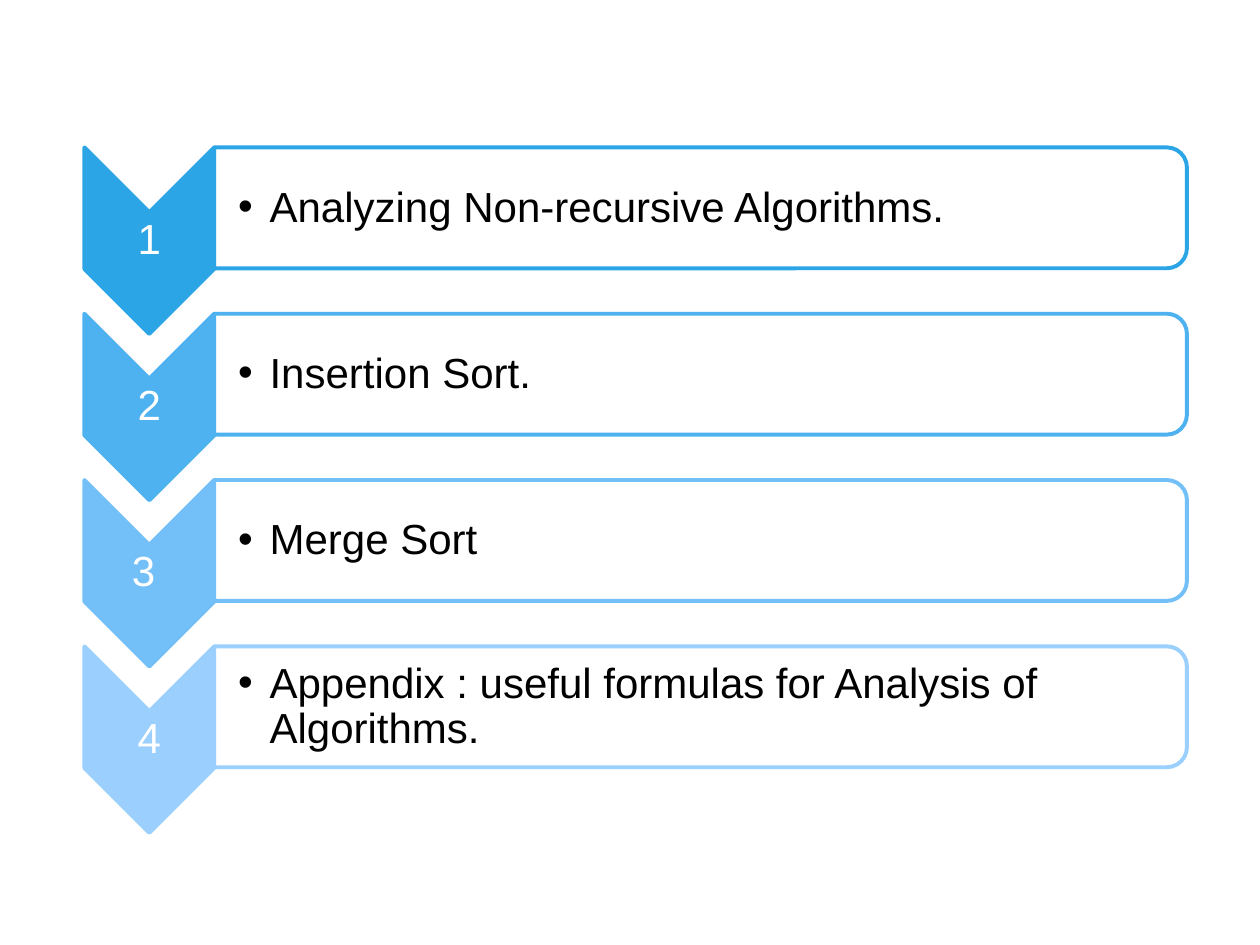
from lxml import etree
from pptx import Presentation
from pptx.dml.color import RGBColor
from pptx.enum import shapes, text
from pptx.oxml.ns import qn
from pptx.util import Pt

PX = 9144  # EMU; 100 px to the inch
WHITE = RGBColor(0xFF, 0xFF, 0xFF)
BLACK = RGBColor(0x00, 0x00, 0x00)

STEPS = [
    ("1", "Analyzing Non-recursive Algorithms.", RGBColor(0x2C, 0xA5, 0xE6)),
    ("2", "Insertion Sort.", RGBColor(0x4E, 0xB2, 0xF0)),
    ("3 ", "Merge Sort", RGBColor(0x73, 0xC0, 0xF8)),
    ("4", "Appendix : useful formulas for Analysis of Algorithms.",
     RGBColor(0x9B, 0xD0, 0xFE)),
]
FIRST_TOP, PITCH = 117, 132
CHEVRON_LEFT, CHEVRON_W, CHEVRON_H = 67, 103, 148
PANEL_LEFT, PANEL_W, PANEL_H = 170, 772, 96


def emu(*lengths):
    return [round(n * PX) for n in lengths]


def add_turned_shape(s, kind, x, y, w, h, fill, line, opacity=None):
    """Add a shape turned by 90 degrees that covers the box x, y, w, h."""
    left, top = x + (w - h) / 2, y + (h - w) / 2
    sp = s.shapes.add_shape(kind, *emu(left, top, h, w))
    sp.rotation = 90
    sp.shadow.inherit = False
    sp.fill.solid()
    sp.fill.fore_color.rgb = fill
    sp.line.color.rgb = line
    sp.line.width = Pt(2.25)
    if opacity is not None:
        color = sp.fill._xPr.find(qn("a:solidFill"))[0]
        etree.SubElement(color, qn("a:alpha")).set("val", str(opacity * 1000))


def add_bullet(p, indent):
    pPr = p._p.get_or_add_pPr()
    pPr.set("marL", str(indent * PX))
    pPr.set("indent", str(-indent * PX))
    etree.SubElement(pPr, qn("a:buFont")).set("typeface", "Arial")
    etree.SubElement(pPr, qn("a:buChar")).set("char", "•")


def add_text(s, words, x, y, w, h, *, color, align, inset=2, bullet=False):
    tf = s.shapes.add_textbox(*emu(x, y, w, h)).text_frame
    tf.word_wrap = True
    tf.vertical_anchor = text.MSO_ANCHOR.MIDDLE
    tf.margin_left, tf.margin_top, tf.margin_right, tf.margin_bottom = emu(inset, 2, 2, 2)
    p = tf.paragraphs[0]
    p.alignment = align
    if bullet:
        p.level = 1
        add_bullet(p, 25)
    p.line_spacing = 0.9
    r = p.add_run()
    r.text = words
    r.font.name = "Arial"
    r.font.size = Pt(24)
    r.font.color.rgb = color


def add_step(s, top, number, topic, color):
    add_turned_shape(s, shapes.MSO_SHAPE.CHEVRON, CHEVRON_LEFT, top,
                     CHEVRON_W, CHEVRON_H, color, color)
    add_text(s, number, CHEVRON_LEFT, top + 52, CHEVRON_W, 44,
             color=WHITE, align=text.PP_ALIGN.CENTER)
    add_turned_shape(s, shapes.MSO_SHAPE.ROUND_2_SAME_RECTANGLE, PANEL_LEFT, top,
                     PANEL_W, PANEL_H, WHITE, color, opacity=90)
    add_text(s, topic, PANEL_LEFT, top + 5, PANEL_W - 5, 87,
             color=BLACK, align=text.PP_ALIGN.LEFT, inset=19, bullet=True)


def main():
    prs = Presentation()
    prs.slide_width, prs.slide_height = emu(1000, 750)
    s = prs.slides.add_slide(prs.slide_layouts[6])
    for i, step in enumerate(STEPS):
        add_step(s, FIRST_TOP + i * PITCH, *step)
    prs.save("out.pptx")


if __name__ == "__main__":
    main()
